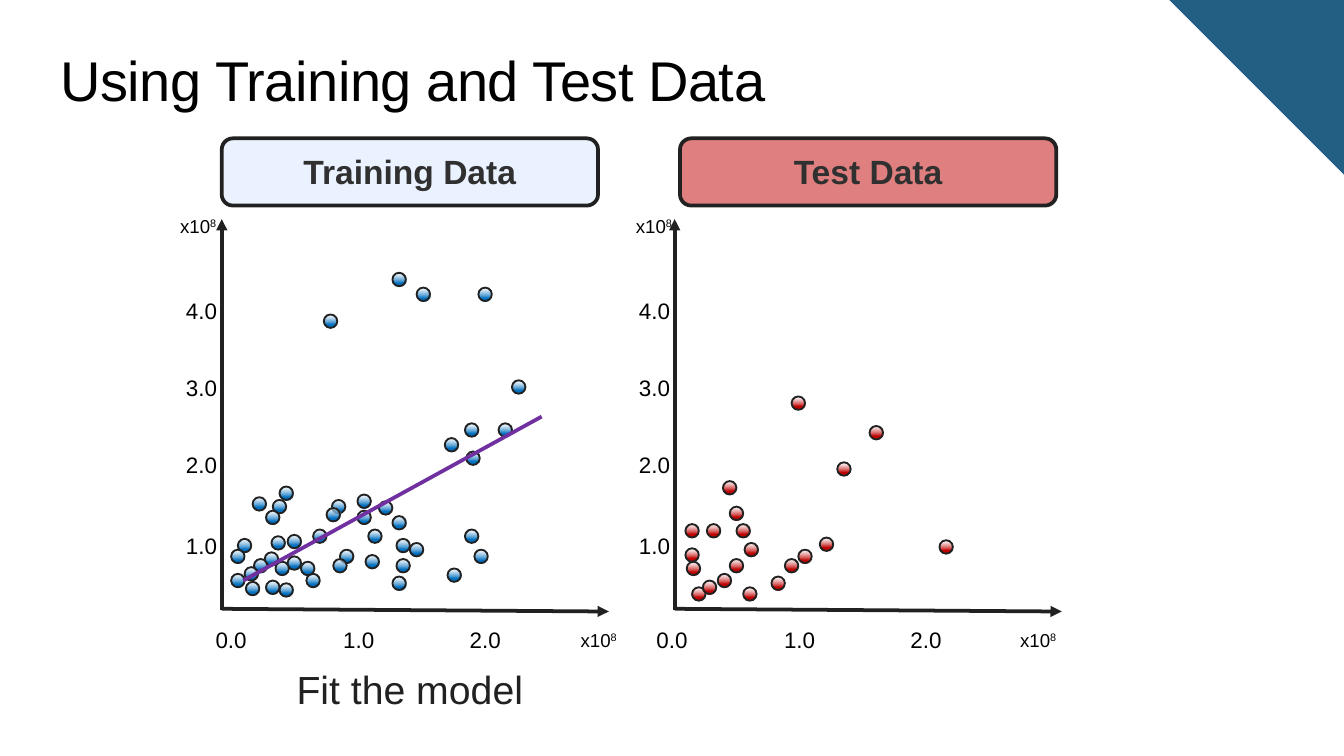
from lxml import etree
from pptx import Presentation
from pptx.dml.color import RGBColor
from pptx.enum.shapes import MSO_CONNECTOR, MSO_SHAPE
from pptx.enum.text import MSO_ANCHOR, MSO_AUTO_SIZE, PP_ALIGN
from pptx.oxml.ns import qn
from pptx.util import Inches, Pt

STRAIGHT = MSO_CONNECTOR.STRAIGHT
OVAL, ROUNDED, CORNER = MSO_SHAPE.OVAL, MSO_SHAPE.ROUNDED_RECTANGLE, MSO_SHAPE.RIGHT_TRIANGLE
CENTER, LEFT = PP_ALIGN.CENTER, PP_ALIGN.LEFT
MIDDLE, TOP = MSO_ANCHOR.MIDDLE, MSO_ANCHOR.TOP
GROW = MSO_AUTO_SIZE.SHAPE_TO_FIT_TEXT

BLACK = RGBColor(0x00, 0x00, 0x00)
WHITE = RGBColor(0xFF, 0xFF, 0xFF)
INK = RGBColor(0x21, 0x21, 0x21)
HEADER_TEXT = RGBColor(0x30, 0x30, 0x30)
TEAL = RGBColor(0x23, 0x5F, 0x83)
BLUE = RGBColor(0x00, 0x70, 0xC0)
PALE_BLUE = RGBColor(0xD7, 0xE6, 0xFF)
RED = RGBColor(0xC0, 0x00, 0x00)
PURPLE = RGBColor(0x70, 0x30, 0xA0)

# The 16:9 slide is a grid of square cells, 1000 columns wide
COLUMNS = 1000
CELL = Inches(0.01)
DOT = 10
AXIS_TOP, AXIS_BOTTOM = 163, 454
TICK_WIDTH, TICK_HEIGHT = 27, 36
X_TICKS = {"0.0": 0, "1.0": 95, "2.0": 189}
Y_TICKS = {"1.0": 378, "2.0": 318, "3.0": 261, "4.0": 203}

# Column and row of each dot's upper left corner
TRAINING_DOTS = [
    (241, 234), (292, 203), (310, 214), (356, 214), (381, 283), (371, 315), (346, 315),
    (331, 326), (347, 336), (346, 394), (353, 409), (333, 423), (305, 404), (292, 384),
    (282, 373), (266, 368), (295, 401), (295, 416), (292, 429), (208, 362), (203, 372),
    (188, 370), (198, 380), (177, 401), (172, 409), (172, 427), (247, 372), (266, 380),
    (274, 394), (243, 378), (233, 394), (272, 413), (253, 409), (248, 416), (214, 398),
    (202, 399), (197, 411), (228, 427), (224, 418), (214, 414), (205, 418), (189, 416),
    (208, 434), (198, 432), (182, 422), (183, 433),
]
TEST_DOTS = [
    (515, 437), (699, 402), (647, 317), (623, 344), (589, 295), (610, 400), (594, 409),
    (584, 416), (574, 429), (538, 358), (543, 377), (526, 390), (548, 390), (510, 390),
    (510, 408), (554, 404), (511, 418), (553, 437), (543, 416), (534, 427), (523, 432),
]

# Each panel: where its parts start, its dots and its colours
PANELS = [
    dict(title="Training Data", axis=165, header=165, x_ticks=158, y_ticks=136,
         y_power=128, x_power=426, dots=TRAINING_DOTS, dot_color=BLUE, header_color=PALE_BLUE),
    dict(title="Test Data", axis=502, header=506, x_ticks=486, y_ticks=473,
         y_power=467, x_power=753, dots=TEST_DOTS, dot_color=RED, header_color=RED),
]


def cells(*counts):
    return [count * CELL for count in counts]


def set_alpha(color_element, percent):
    etree.SubElement(color_element, qn("a:alpha"), val=str(percent * 1000))


def write(frame, text, size, color, align=CENTER, spacing=None, bold=None, power=None):
    paragraph = frame.paragraphs[0]
    paragraph.alignment = align
    if spacing:
        paragraph.line_spacing = Pt(spacing)
    runs = []
    for part in filter(None, (text, power)):
        run = paragraph.add_run()
        run.text = part
        style = dict(name="Arial", size=Pt(size), bold=bold)
        for key, value in style.items():
            setattr(run.font, key, value)
        run.font.color.rgb = color
        runs.append(run)
    if power:
        runs[-1].font._element.set("baseline", "30000")
    return runs[0]


def add_text(slide, box, text, size, color=BLACK, anchor=MIDDLE, inset=0, **style):
    frame = slide.shapes.add_textbox(*cells(*box)).text_frame
    margins = dict(margin_left=10 * inset, margin_right=10 * inset,
                   margin_top=5 * inset, margin_bottom=5 * inset)
    for key, count in margins.items():
        setattr(frame, key, count * CELL)
    layout = dict(word_wrap=True, auto_size=GROW, vertical_anchor=anchor)
    for key, value in layout.items():
        setattr(frame, key, value)
    run = write(frame, text, size, color, **style)
    if not inset:
        frame.paragraphs[0]._p.get_or_add_pPr().set("marL", str(CELL))
    return run


def add_line(slide, start, end, color, arrow=False):
    line = slide.shapes.add_connector(STRAIGHT, *cells(*start, *end))
    line.line.color.rgb = color
    line.line.width = Pt(2)
    if arrow:
        etree.SubElement(line.line._get_or_add_ln(), qn("a:tailEnd"), type="triangle")
    etree.SubElement(line._element.spPr, qn("a:effectLst"))


def add_shape(slide, kind, box, outline=None):
    shape = slide.shapes.add_shape(kind, *cells(*box))
    shape.shadow.inherit = False
    if outline:
        shape.line.color.rgb = INK
        shape.line.width = Pt(outline)
    else:
        shape.line.fill.background()
    return shape


def add_dot(slide, column, row, color):
    fill = add_shape(slide, OVAL, (column, row, DOT, DOT), outline=1).fill
    fill.gradient()
    fill.gradient_angle = 270
    shine, body = fill.gradient_stops
    for stop, stop_color, position in ((shine, WHITE, 0), (body, color, 0.75)):
        stop.color.rgb = stop_color
        stop.position = position
    set_alpha(shine._gs[0], 50)


def add_header(slide, left, title, color):
    header = add_shape(slide, ROUNDED, (left, 103, 280, 50), outline=2)
    header.fill.solid()
    header.fill.fore_color.rgb = color
    set_alpha(header._element.spPr.find(qn("a:solidFill"))[0], 50)
    header.text_frame.vertical_anchor = MIDDLE
    write(header.text_frame, title, 18, HEADER_TEXT, spacing=21, bold=True)


def add_panel(slide, panel):
    axis = panel["axis"]
    # Axes
    add_line(slide, (axis, AXIS_BOTTOM), (axis, AXIS_TOP), INK, arrow=True)
    add_line(slide, (axis, AXIS_BOTTOM - 1), (axis + 288, AXIS_BOTTOM + 1), INK, arrow=True)
    # Data points
    for column, row in panel["dots"]:
        add_dot(slide, column, row, panel["dot_color"])
    # Tick labels and powers of ten
    ticks = [(panel["x_ticks"] + shift, 448, label) for label, shift in X_TICKS.items()]
    ticks += [(panel["y_ticks"], row, label) for label, row in Y_TICKS.items()]
    for column, row, label in ticks:
        add_text(slide, (column, row, TICK_WIDTH, TICK_HEIGHT), label, 12, spacing=28.5)
    for column, row in ((panel["y_power"], 139), (panel["x_power"], 447)):
        add_text(slide, (column, row, 38, 35), "x10", 10, spacing=28.5, power="8")
    add_header(slide, panel["header"], panel["title"], panel["header_color"])


def main():
    deck = Presentation()
    deck.slide_width = COLUMNS * CELL
    deck.slide_height = deck.slide_width * 9 // 16
    slide = deck.slides.add_slide(deck.slide_layouts[6])

    # Corner decoration
    corner = add_shape(slide, CORNER, (COLUMNS - 130, 0, 130, 130))
    corner.rotation = 180
    corner.fill.solid()
    corner.fill.fore_color.rgb = TEAL

    # Title
    title = add_text(slide, (44, 34, 923, 50), "Using Training and Test Data", 30,
                     anchor=TOP, align=LEFT)
    title.font._element.set("spc", "-25")

    # Scatter plots
    for panel in PANELS:
        add_panel(slide, panel)

    # Fitted model
    add_line(slide, (181, 432), (403, 310), PURPLE)
    add_text(slide, (165, 490, 280, 45), "Fit the model", 21, INK, anchor=TOP, inset=1)

    deck.save("out.pptx")


if __name__ == "__main__":
    main()
